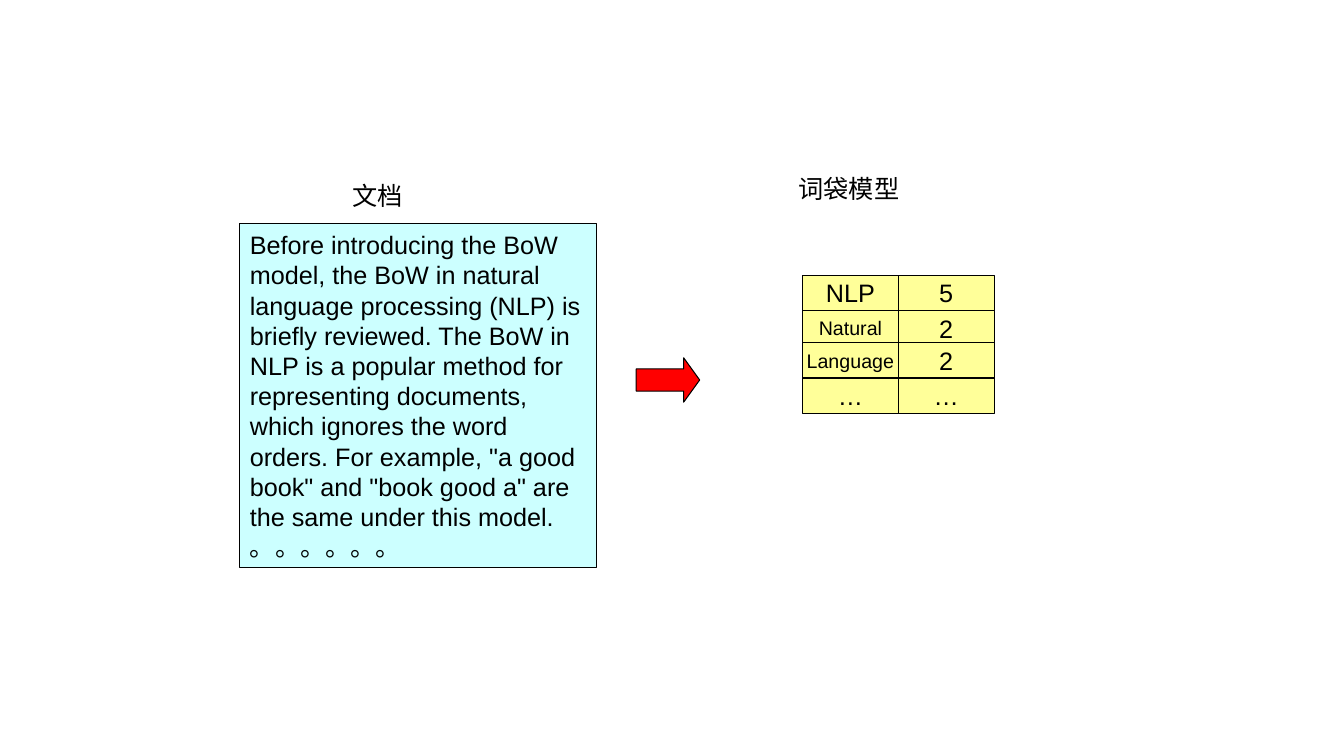
from pptx import Presentation
from pptx.dml.color import RGBColor
from pptx.enum.shapes import MSO_SHAPE as Shape
from pptx.enum.text import MSO_ANCHOR as Anchor, MSO_AUTO_SIZE as AutoSize, PP_ALIGN as Align
from pptx.util import Inches, Pt

COLORS = {"text": "000000", "line": "000000", "document": "CCFFFF",
          "arrow": "FF0000", "cell": "FFFF99"}
FONT = "Arial"

DOCUMENT = [
    "Before introducing the BoW model, the BoW in natural language processing (NLP) "
    "is briefly reviewed. The BoW in NLP is a popular method for representing "
    "documents, which ignores the word orders. For example, \"a good book\" and "
    "\"book good a\" are the same under this model.",
    "。。。。。。",
]
DOCUMENT_BOX = (2.38, 2.22, 3.54, 3.41)
ARROW_BOX = (6.31, 3.55, 0.63, 0.44)
LABELS = [
    ("文档", (3.4, 1.74, 0.7, 0.4)),
    ("词袋模型", (7.82, 1.67, 1.21, 0.4)),
]
# word, count, word size in points, top in inches
WORD_COUNTS = [
    ("NLP", "5", 18, 2.73),
    ("Natural", "2", 14, 3.08),
    ("Language", "2", 14, 3.4),
    ("…", "…", 18, 3.75),
]
COUNT_SIZE = 18
CELLS_LEFT, CELL_WIDTH, CELL_HEIGHT = 7.96, 0.95, 0.35


def color(name):
    return RGBColor.from_string(COLORS[name])


def write(frame, lines, size=18, align=Align.LEFT):
    frame.text = "\n".join(lines)
    for para in frame.paragraphs:
        para.alignment = align
        para.font.size = Pt(size)
        para.font.name = FONT
        para.font.color.rgb = color("text")


def add_box(shapes, kind, place, fill):
    box = shapes.add_shape(kind, *map(Inches, place))
    box.shadow.inherit = False
    box.fill.solid()
    box.fill.fore_color.rgb = color(fill)
    box.line.color.rgb = color("line")
    box.line.width = Pt(0.75)
    box.text_frame.vertical_anchor = Anchor.MIDDLE
    return box


def add_document(page):
    frame = add_box(page.shapes, Shape.RECTANGLE, DOCUMENT_BOX, "document").text_frame
    frame.word_wrap = True
    frame.auto_size = AutoSize.SHAPE_TO_FIT_TEXT
    write(frame, DOCUMENT)


def add_arrow(page):
    arrow = add_box(page.shapes, Shape.RIGHT_ARROW, ARROW_BOX, "arrow")
    arrow.adjustments[0] = 0.5
    arrow.adjustments[1] = 0.36


def add_label(page, text, place):
    frame = page.shapes.add_textbox(*map(Inches, place)).text_frame
    frame.word_wrap = False
    frame.auto_size = AutoSize.SHAPE_TO_FIT_TEXT
    write(frame, [text])


def add_word_row(page, word, count, word_size, top):
    """Group a word cell with its count cell."""
    row = page.shapes.add_group_shape()
    for column, (text, size) in enumerate([(word, word_size), (count, COUNT_SIZE)]):
        place = (CELLS_LEFT + column * CELL_WIDTH, top, CELL_WIDTH, CELL_HEIGHT)
        frame = add_box(row.shapes, Shape.RECTANGLE, place, "cell").text_frame
        frame.word_wrap = False
        write(frame, [text], size, Align.CENTER)


def main():
    deck = Presentation()
    deck.slide_width, deck.slide_height = Inches(13.33), Inches(7.5)
    page = deck.slides.add_slide(deck.slide_layouts[6])
    add_document(page)
    add_arrow(page)
    for text, place in LABELS:
        add_label(page, text, place)
    for word_count in WORD_COUNTS:
        add_word_row(page, *word_count)
    deck.save("out.pptx")


if __name__ == "__main__":
    main()
